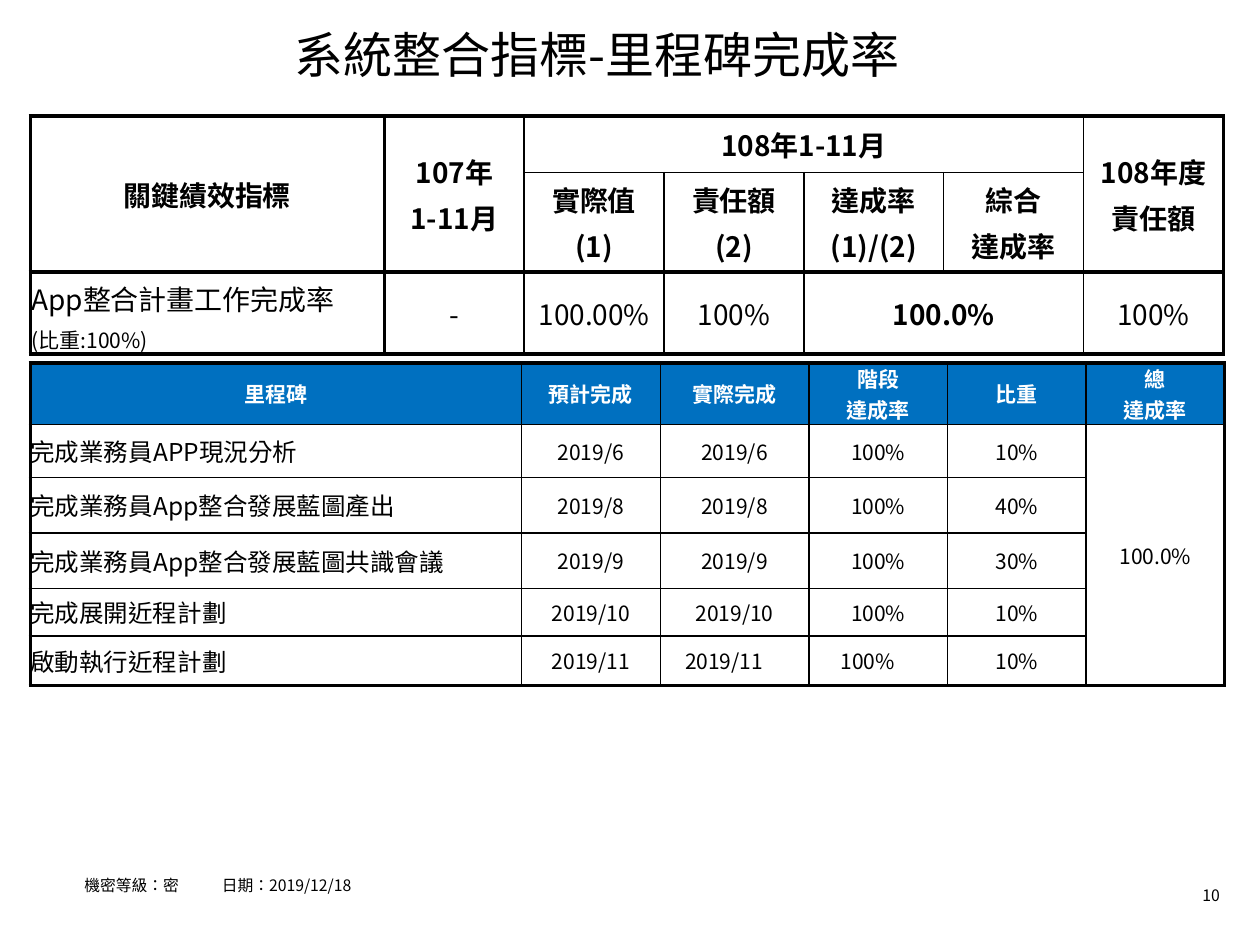
from itertools import product

from lxml.etree import SubElement
from pptx import Presentation
from pptx.dml.color import RGBColor
from pptx.enum.lang import MSO_LANGUAGE_ID
from pptx.enum.text import MSO_ANCHOR, PP_ALIGN
from pptx.oxml.ns import qn
from pptx.util import Inches, Pt

FONT = "Noto Sans CJK SC"
COLORS = {"text": "000000", "line": "000000", "header": "0070C0", "paper": "FFFFFF"}
THIN, THICK = 1, 2.25

KPI_ROWS = [
    ["關鍵績效指標", "107年\n1-11月", "108年1-11月", "", "", "", "108年度\n責任額"],
    ["", "", "實際值\n(1)", "責任額\n(2)", "達成率\n(1)/(2)", "綜合\n達成率", ""],
    ["App整合計畫工作完成率", "-", "100.00%", "100%", "100.0%", "", "100%"],
    ["(比重:100%)", "", "", "", "", "", ""],
]
KPI_MERGES = [
    (0, 0, 1, 0), (0, 1, 1, 1), (0, 2, 0, 5), (0, 6, 1, 6),
    (2, 1, 3, 1), (2, 2, 3, 2), (2, 3, 3, 3), (2, 4, 3, 5), (2, 6, 3, 6),
]
KPI_LABEL = (2, 0, 3, 0)
MILESTONE_ROWS = [
    ["里程碑", "預計完成", "實際完成", "階段\n達成率", "比重", "總\n達成率"],
    ["完成業務員APP現況分析", "2019/6", "2019/6", "100%", "10%", "100.0%"],
    ["完成業務員App整合發展藍圖產出", "2019/8", "2019/8", "100%", "40%", ""],
    ["完成業務員App整合發展藍圖共識會議", "2019/9", "2019/9", "100%", "30%", ""],
    ["完成展開近程計劃", "2019/10", "2019/10", "100%", "10%", ""],
    ["啟動執行近程計劃", "2019/11", "2019/11　", "100%　", "10%", ""],
]
MILESTONE_MERGES = [(1, 5, 5, 5)]


def format_paragraph(paragraph, size, bold=False, color="text", align=PP_ALIGN.LEFT):
    """Set the alignment and font of a whole paragraph."""
    paragraph.alignment = align
    font = paragraph.font
    font.size, font.bold, font.name = Pt(size), bold, FONT
    font.language_id = MSO_LANGUAGE_ID.TRADITIONAL_CHINESE
    font.color.rgb = RGBColor.from_string(COLORS[color])
    properties = paragraph._p.pPr.find(qn("a:defRPr"))
    SubElement(properties, qn("a:ea"), typeface=FONT)


def add_title(slide, text):
    """Place the title placeholder and fill it."""
    title = slide.shapes.title
    title.left, title.top = Inches(2.24), Inches(0.13)
    title.width, title.height = Inches(7.4), Inches(0.59)
    title.text_frame.text = text
    title.text_frame.vertical_anchor = MSO_ANCHOR.MIDDLE
    format_paragraph(title.text_frame.paragraphs[0], 28)


def add_note(slide, box, text, anchor, align, left_inset=0.1, tab=None):
    """Add a small one-line text box with an optional tab stop."""
    frame = slide.shapes.add_textbox(*map(Inches, box)).text_frame
    frame.word_wrap = True
    frame.vertical_anchor = anchor
    frame.margin_left = Inches(left_inset)
    frame.text = text
    paragraph = frame.paragraphs[0]
    if tab:
        tabs = SubElement(paragraph._p.get_or_add_pPr(), qn("a:tabLst"))
        SubElement(tabs, qn("a:tab"), pos=str(Inches(tab)), algn="l")
    format_paragraph(paragraph, 9, align=align)


def add_border(cell, side, width):
    """Draw one side of a cell, or clear it when the width is zero."""
    line = SubElement(cell._tc.get_or_add_tcPr(), qn(f"a:ln{side}"), w=str(Pt(width)))
    if width:
        fill = SubElement(line, qn("a:solidFill"))
        SubElement(fill, qn("a:srgbClr"), val=COLORS["line"])
    else:
        SubElement(line, qn("a:noFill"))


def frame_area(table, area, thick_rows, thick_columns):
    """Draw the outline of a cell area, heavy on the given grid lines."""
    top, left, bottom, right = area
    for row, column in product(range(top, bottom + 1), range(left, right + 1)):
        cell = table.cell(row, column)
        sides = [
            ("L", column == left, left in thick_columns),
            ("R", column == right, right + 1 in thick_columns),
            ("T", row == top, top in thick_rows),
            ("B", row == bottom, bottom + 1 in thick_rows),
        ]
        for side, is_outer, is_thick in sides:
            if is_outer or cell.is_merge_origin:
                add_border(cell, side, THICK if is_thick else THIN)
            elif not cell.is_spanned:
                add_border(cell, side, 0)


def add_grid(slide, box, rows, widths, heights, merges, joined, thick_rows, thick_columns):
    """Add a table with its merged cells, text and borders."""
    table = slide.shapes.add_table(len(rows), len(widths), *map(Inches, box)).table
    table.first_row = table.horz_banding = False
    for column, width in zip(table.columns, widths):
        column.width = Inches(width)
    for row, height in zip(table.rows, heights):
        row.height = Inches(height)
    for top, left, bottom, right in merges:
        table.cell(top, left).merge(table.cell(bottom, right))
    areas = merges + joined
    covered = {
        place
        for top, left, bottom, right in areas
        for place in product(range(top, bottom + 1), range(left, right + 1))
    }
    places = list(product(range(len(rows)), range(len(widths))))
    singles = [place + place for place in places if place not in covered]
    for area in areas + singles:
        frame_area(table, area, thick_rows, thick_columns)
    for row, column in places:
        if rows[row][column]:
            table.cell(row, column).text = rows[row][column]
    return table


def format_cell(cell, size, bold=False, color="text", fill="paper",
                align=PP_ALIGN.CENTER, insets=(0, 0), gap=0):
    """Set the fill, insets and text format of a cell."""
    cell.fill.solid()
    cell.fill.fore_color.rgb = RGBColor.from_string(COLORS[fill])
    cell.vertical_anchor = MSO_ANCHOR.MIDDLE
    cell.margin_left = cell.margin_right = Inches(insets[0])
    cell.margin_top = cell.margin_bottom = Inches(insets[1])
    for index, paragraph in enumerate(cell.text_frame.paragraphs):
        if index and gap:
            paragraph.space_before = Pt(gap)
        format_paragraph(paragraph, size, bold, color, align)


def add_milestone_table(slide):
    """Add the table of milestones."""
    table = add_grid(
        slide, (0.24, 2.88, 9.48, 2.56), MILESTONE_ROWS,
        [3.9, 1.1, 1.18, 1.1, 1.1, 1.1], [0.49, 0.42, 0.44, 0.44, 0.38, 0.39],
        MILESTONE_MERGES, [], {0, 6}, {0, 6})
    for row, column in product(range(6), range(6)):
        cell = table.cell(row, column)
        if row == 0:
            format_cell(cell, 12, True, "paper", "header")
        elif column == 0:
            format_cell(cell, 14, align=PP_ALIGN.LEFT)
        else:
            format_cell(cell, 12)


def add_kpi_table(slide):
    """Add the table of key performance indicators."""
    table = add_grid(
        slide, (0.24, 0.92, 9.47, 1.89), KPI_ROWS,
        [2.81] + [1.11] * 6, [0.45, 0.79, 0.41, 0.24],
        KPI_MERGES, [KPI_LABEL], {0, 2, 4}, {0, 1, 7})
    for row, column in product(range(4), range(7)):
        cell = table.cell(row, column)
        if row < 2:
            format_cell(cell, 16, True, insets=(0.1, 0.05), gap=3.2)
        elif column == 0:
            size = 16 if row == 2 else 12
            format_cell(cell, size, align=PP_ALIGN.LEFT, insets=(0.01, 0))
        else:
            format_cell(cell, 16 if row == 2 else 12, bold=column == 4)


def main():
    """Build and save the slide."""
    presentation = Presentation()
    presentation.slide_width, presentation.slide_height = Inches(10), Inches(7.5)
    slide = presentation.slides.add_slide(presentation.slide_layouts[5])
    add_note(slide, (9.1, 6.98, 0.68, 0.25), "10", MSO_ANCHOR.MIDDLE, PP_ALIGN.RIGHT)
    add_title(slide, "系統整合指標-里程碑完成率")
    add_milestone_table(slide)
    add_note(slide, (0.67, 6.9, 7.42, 0.31), "機密等級：密\t日期：2019/12/18",
             MSO_ANCHOR.TOP, PP_ALIGN.LEFT, left_inset=0, tab=1.09)
    add_kpi_table(slide)
    presentation.save("out.pptx")


if __name__ == "__main__":
    main()
